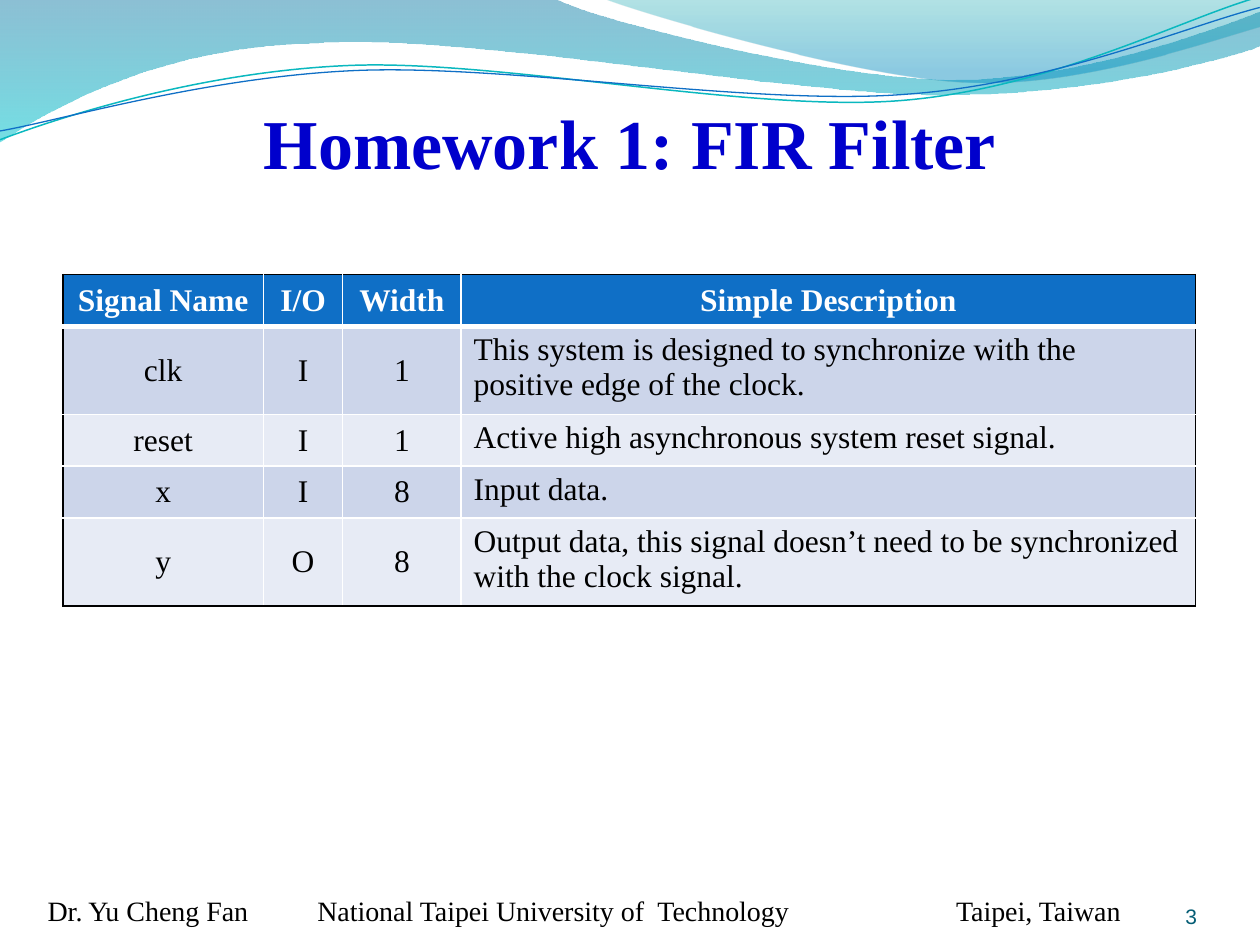
from math import cos, radians, sin

from lxml import etree
from pptx import Presentation
from pptx.dml.color import RGBColor
from pptx.enum.text import MSO_ANCHOR, PP_ALIGN
from pptx.oxml import parse_xml
from pptx.oxml.ns import nsdecls, qn
from pptx.util import Inches, Pt

COLORS = {
    "title": "0000CC", "text": "000000", "white": "FFFFFF", "number": "045D75",
    "header": "0F6FC6", "band_dark": "CCD5EA", "band_light": "E7EBF5",
    "teal": "0AB8BF", "blue": "0F6FC6",
}
SERIF = "Times New Roman"

# Each wave is a start point followed by lines (2 numbers) and curves (6 numbers).
BACK_WAVE = [
    (0, 0), (4.4, -0.01), (4.76, 0.17, 6.64, 0.63, 7.58, 0.63),
    (8.53, 0.63, 9.58, 0.26, 10, 0.09), (10.01, 0.36),
    (9.83, 0.44, 8.7, 0.76, 7.46, 0.75), (6.22, 0.75, 3.82, 0.28, 2.57, 0.34),
    (1.29, 0.36, 0.46, 0.83, -0.01, 1.13)]
FRONT_WAVE = [
    (4.79, -0.01), (5.09, 0.11, 6.82, 0.62, 7.69, 0.65),
    (8.56, 0.69, 9.61, 0.32, 10, 0.21), (10, 0)]
TEAL_LINE = [
    (0, 1.11), (0.48, 0.93, 1.58, 0.57, 2.77, 0.52),
    (3.95, 0.47, 5.93, 0.89, 7.13, 0.8), (8.33, 0.71, 9.38, 0.15, 9.98, -0.02)]
BLUE_LINE = [
    (0, 1.04), (0.47, 0.96, 1.64, 0.61, 2.83, 0.56),
    (4.03, 0.51, 5.97, 0.84, 7.17, 0.75), (8.36, 0.67, 9.41, 0.21, 10, 0.06)]
LINE_TILT = 2.7

ROWS = [
    ("Signal Name", "I/O", "Width", "Simple Description"),
    ("clk", "I", "1", "This system is designed to synchronize with the "
                      "positive edge of the clock."),
    ("reset", "I", "1", "Active high asynchronous system reset signal."),
    ("x", "I", "8", "Input data."),
    ("y", "O", "8", "Output data, this signal doesn’t need to be synchronized "
                    "with the clock signal."),
]
COL_WIDTHS = [1.59, 0.63, 0.94, 5.83]
ROW_HEIGHT = 0.41


def rgb(name):
    """Return the named colour."""
    return RGBColor.from_string(COLORS[name])


def style(p, size, color, font=SERIF, bold=False, align=PP_ALIGN.LEFT):
    """Format a paragraph and its runs."""
    p.alignment = align
    for r in p.runs:
        r.font.size, r.font.name, r.font.bold = Pt(size), font, bold
        r.font.color.rgb = rgb(color)


def turn(point, center, degrees):
    """Rotate a point clockwise about a center."""
    a = radians(degrees)
    dx, dy = point[0] - center[0], point[1] - center[1]
    return (center[0] + dx * cos(a) - dy * sin(a),
            center[1] + dx * sin(a) + dy * cos(a))


def add_wave(s, left, top, segments, close, tilt=0):
    """Add a curved outline; tilt is the shape's counterclockwise rotation."""
    points = [seg[i:i + 2] for seg in segments for i in range(0, len(seg), 2)]
    xs, ys = zip(*points)
    center = (min(xs) + max(xs)) / 2, (min(ys) + max(ys)) / 2
    points = [tuple(map(Inches, turn(p, center, tilt))) for p in points]
    builder = s.shapes.build_freeform(*points[0])
    builder.add_line_segments(points[1:], close=close)
    sp = builder.convert_to_shape(Inches(left), Inches(top))
    sp.shadow.inherit = False
    sp.rotation = -tilt % 360
    line_tags = list(sp.element.iter(qn("a:lnTo")))
    for seg in segments[1:]:
        first, *others = [line_tags.pop(0) for _ in range(len(seg) // 2)]
        if others:
            first.tag = qn("a:cubicBezTo")
        for tag in others:
            first.append(tag[0])
            tag.getparent().remove(tag)
    return sp


def add_header(s, left, top):
    """Draw the two gradient waves and the two thin lines."""
    for segments, stops in (
            (BACK_WAVE, [(0, "0074A1", 45), (100, "00C6CF", 55)]),
            (FRONT_WAVE, [(0, "00A1A9", 30), (80, "008BBF", 45)])):
        sp = add_wave(s, left, top, segments, True)
        sp.line.fill.background()
        gs = "".join(
            f'<a:gs pos="{pos * 1000}"><a:srgbClr val="{color}">'
            f'<a:alpha val="{alpha * 1000}"/></a:srgbClr></a:gs>'
            for pos, color, alpha in stops)
        sp.element.spPr.find(qn("a:custGeom")).addnext(parse_xml(
            f'<a:gradFill {nsdecls("a")}><a:gsLst>{gs}</a:gsLst>'
            '<a:lin ang="5400000" scaled="0"/></a:gradFill>'))
    for segments, color, width in ((TEAL_LINE, "teal", 0.85), (BLUE_LINE, "blue", 0.75)):
        sp = add_wave(s, left, top, segments, False, LINE_TILT)
        sp.fill.background()
        sp.line.color.rgb = rgb(color)
        sp.line.width = Pt(width)


def add_text(s, box, text, anchor=MSO_ANCHOR.TOP, inset=None, **look):
    """Add a one-paragraph text box and return the paragraph."""
    tf = s.shapes.add_textbox(*map(Inches, box)).text_frame
    tf.word_wrap = True
    tf.vertical_anchor = anchor
    if inset is not None:
        tf.margin_left = tf.margin_right = tf.margin_top = tf.margin_bottom = Inches(inset)
    p = tf.paragraphs[0]
    p.text = text
    style(p, **look)
    return p


def add_footer(s, left, top):
    """Add the lecturer line, spaced by tab stops, and the slide number."""
    p = add_text(s, (left, top, 9.84, 0.37),
                 "Dr. Yu Cheng Fan\tNational Taipei University of  Technology\tTaipei, Taiwan",
                 size=16, color="text")
    tabs = etree.SubElement(p._p.get_or_add_pPr(), qn("a:tabLst"))
    for pos in (2.14, 7.21):
        etree.SubElement(tabs, qn("a:tab"), pos=str(Inches(pos)), algn="l")
    add_text(s, (left + 8.39, top - 0.07, 0.83, 0.4), "3", MSO_ANCHOR.BOTTOM, 0,
             size=12, color="number", font="Arial", align=PP_ALIGN.RIGHT)


def set_borders(cell, borders):
    """Set the cell borders from (tag, colour, width) in schema order."""
    tcPr = cell._tc.get_or_add_tcPr()
    for i, (tag, color, width) in enumerate(borders):
        tcPr.insert(i, parse_xml(
            f'<a:{tag} {nsdecls("a")} w="{Pt(width)}"><a:solidFill>'
            f'<a:srgbClr val="{COLORS[color]}"/></a:solidFill></a:{tag}>'))


def add_signal_table(s, left, top):
    """Add the signal table with a black frame and white inner rules."""
    last_row, last_col = len(ROWS) - 1, len(COL_WIDTHS) - 1
    table = s.shapes.add_table(
        len(ROWS), len(COL_WIDTHS), Inches(left), Inches(top),
        Inches(sum(COL_WIDTHS)), Inches(ROW_HEIGHT * len(ROWS))).table
    for col, width in zip(table.columns, COL_WIDTHS):
        col.width = Inches(width)
    for i, texts in enumerate(ROWS):
        table.rows[i].height = Inches(ROW_HEIGHT)
        fill = "header" if i == 0 else "band_dark" if i % 2 else "band_light"
        for j, text in enumerate(texts):
            cell = table.cell(i, j)
            cell.fill.solid()
            cell.fill.fore_color.rgb = rgb(fill)
            p = cell.text_frame.paragraphs[0]
            p.text = text
            description = i > 0 and j == last_col
            if not description:
                cell.vertical_anchor = MSO_ANCHOR.MIDDLE
            style(p, 18, "text" if i else "white", bold=i == 0,
                  align=PP_ALIGN.LEFT if description else PP_ALIGN.CENTER)
            edges = [("lnL", j == 0), ("lnR", j == last_col),
                     ("lnT", i == 0), ("lnB", i == last_row)]
            set_borders(cell, [
                (tag, "text" if outer else "white",
                 3 if (i, tag) in ((0, "lnB"), (1, "lnT")) else 1)
                for tag, outer in edges])


def main():
    """Build the slide and save it."""
    prs = Presentation()
    prs.slide_width, prs.slide_height = Inches(10), Inches(7.5)
    s = prs.slides.add_slide(prs.slide_layouts[6])
    add_header(s, 0, 0)
    add_footer(s, 0.28, 7.04)
    add_text(s, (0.5, 0.5, 9, 1.25), "Homework 1: FIR Filter", MSO_ANCHOR.MIDDLE,
             size=40, color="title", bold=True, align=PP_ALIGN.CENTER)
    add_signal_table(s, 0.5, 2.18)
    prs.save("out.pptx")


main()
